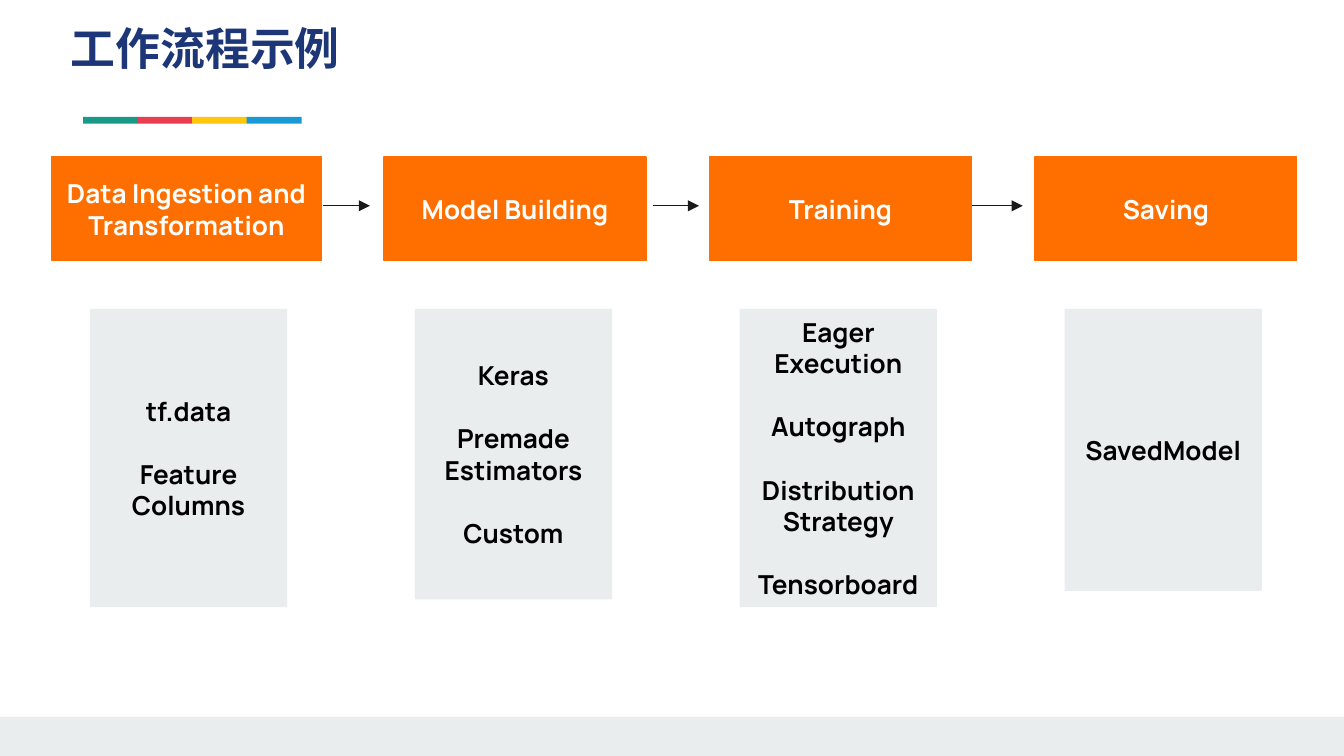
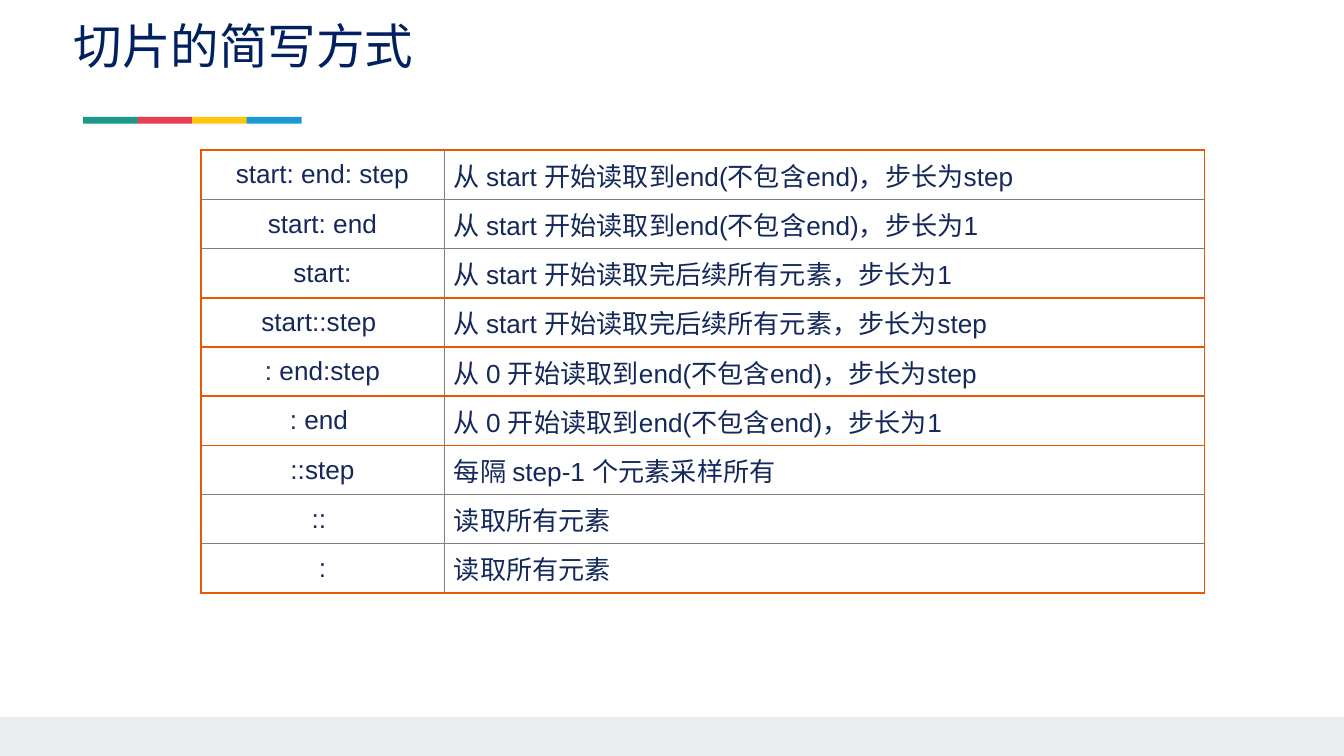
from lxml import etree
from pptx import Presentation
from pptx.dml.color import RGBColor
from pptx.enum.shapes import MSO_CONNECTOR, MSO_SHAPE
from pptx.enum.text import MSO_ANCHOR, MSO_AUTO_SIZE, PP_ALIGN
from pptx.oxml.ns import qn
from pptx.util import Cm, Pt

RECT, STRAIGHT = MSO_SHAPE.RECTANGLE, MSO_CONNECTOR.STRAIGHT
TOP, MIDDLE = MSO_ANCHOR.TOP, MSO_ANCHOR.MIDDLE
LEFT, CENTER = PP_ALIGN.LEFT, PP_ALIGN.CENTER
NO_FIT = MSO_AUTO_SIZE.NONE
TITLE_ONLY = 5

COLORS = {
    "band": "E9EDEE", "green": "1A9988", "red": "E93D51", "yellow": "FFC60B",
    "blue": "199AD7", "title": "1C3678", "navy": "002060", "orange": "FF6F00",
    "arrow": "1A1A1A", "white": "FFFFFF", "black": "000000",
    "cell": "15285A", "border": "EB5600", "grid": "7F7F7F",
}

# stage, left and width of its box, tools, height of the tools panel (cm)
STAGES = [
    ("Data Ingestion and Transformation", 0.97, 5.11,
     ["tf.data", "Feature Columns"], 5.64),
    ("Model Building", 7.26, 4.95,
     ["Keras", "Premade Estimators", "Custom"], 5.49),
    ("Training", 13.41, 4.95,
     ["Eager Execution", "Autograph", "Distribution Strategy", "Tensorboard"], 5.64),
    ("Saving", 19.56, 4.95, ["SavedModel"], 5.33),
]
ARROWS = [(6.1, 6.99), (12.34, 13.21), (18.03, 19.33)]

SLICES = [
    ("start: end: step", "从 start 开始读取到end(不包含end)，步长为step"),
    ("start: end", "从 start 开始读取到end(不包含end)，步长为1"),
    ("start:", "从 start 开始读取完后续所有元素，步长为1"),
    ("start::step ", "从 start 开始读取完后续所有元素，步长为step"),
    (": end:step", "从 0 开始读取到end(不包含end)，步长为step"),
    (": end ", "从 0 开始读取到end(不包含end)，步长为1"),
    ("::step", "每隔 step-1 个元素采样所有"),
    (":: ", "读取所有元素"),
    (":", "读取所有元素"),
]
STRONG_LINES = {0, 3, 4, 5, 6, 9}


def rgb(name):
    return RGBColor.from_string(COLORS[name])


class Deck:
    font = "Manrope"
    table_font = "Arial"
    size = 14

    def __init__(self):
        self.prs = Presentation()
        self.prs.slide_width, self.prs.slide_height = Cm(25.4), Cm(14.29)
        self.slide = None

    def new_slide(self, title, left, top, width, height, size, color, bold, inset):
        self.slide = self.prs.slides.add_slide(self.prs.slide_layouts[TITLE_ONLY])
        self.rect(0, 13.55, 25.4, 0.74, "band")
        for i, name in enumerate(("green", "red", "yellow", "blue")):
            self.rect(1.57 + 1.03 * i, 2.21, 1.04, 0.13, name)
        sp = self.slide.shapes.title
        sp.left, sp.top, sp.width, sp.height = map(Cm, (left, top, width, height))
        self.set_text(sp.text_frame, [title], size, color, bold, LEFT, TOP, inset)

    def set_text(self, tf, lines, size, color, bold, align, anchor, inset=0.25, gap=0):
        tf.word_wrap, tf.auto_size = True, NO_FIT
        tf.vertical_anchor = anchor
        tf.margin_left = tf.margin_right = Cm(0.25)
        tf.margin_top = tf.margin_bottom = Cm(inset)
        tf.text = "\n".join(lines)
        for i, p in enumerate(tf.paragraphs):
            p.alignment = align
            p.space_before = Pt(gap if i else 0)
            self.style(p, self.font, size, color, bold)

    def style(self, p, font, size, color, bold=False):
        for r in p.runs:
            r.font.name, r.font.size, r.font.bold = font, Pt(size), bold
            r.font.color.rgb = rgb(color)

    def rect(self, left, top, width, height, fill, line=None):
        sp = self.slide.shapes.add_shape(RECT, *map(Cm, (left, top, width, height)))
        sp.shadow.inherit = False
        sp.fill.solid()
        sp.fill.fore_color.rgb = rgb(fill)
        if line:
            sp.line.color.rgb, sp.line.width = rgb(line), Pt(0.75)
        else:
            sp.line.fill.background()
        return sp

    def box(self, left, top, width, height, lines, fill, color, line=None):
        sp = self.rect(left, top, width, height, fill, line)
        self.set_text(sp.text_frame, lines, self.size, color, True, CENTER, MIDDLE,
                      gap=17)

    def arrow(self, x1, x2, y):
        sp = self.slide.shapes.add_connector(STRAIGHT, Cm(x1), Cm(y), Cm(x2), Cm(y))
        sp.line.color.rgb, sp.line.width = rgb("arrow"), Pt(0.75)
        sp_pr = sp._element.spPr
        etree.SubElement(sp_pr.find(qn("a:ln")), qn("a:tailEnd"), type="triangle")
        etree.SubElement(sp_pr, qn("a:effectLst"))

    def table(self, left, top, col_widths, row_height, rows, strong_lines):
        """Draw a grid whose strong_lines (counted from the top) are orange."""
        frame = self.slide.shapes.add_table(
            len(rows), len(col_widths), Cm(left), Cm(top),
            Cm(sum(col_widths)), Cm(row_height * len(rows)))
        tbl = frame.table
        tbl.first_row = tbl.horz_banding = False
        for col, width in zip(tbl.columns, col_widths):
            col.width = Cm(width)
        last = len(col_widths) - 1
        for i, row in enumerate(rows):
            tbl.rows[i].height = Cm(row_height)
            for j, text in enumerate(row):
                cell = tbl.cell(i, j)
                self.cell(cell, text, LEFT if j else CENTER)
                self.borders(cell, {"lnL": j == 0, "lnR": j == last,
                                    "lnT": i in strong_lines,
                                    "lnB": i + 1 in strong_lines})

    def cell(self, cell, text, align):
        cell.fill.background()
        cell.vertical_anchor = MIDDLE
        cell.margin_left = cell.margin_right = Cm(0.19)
        cell.margin_top = cell.margin_bottom = 0
        cell.text = text
        p = cell.text_frame.paragraphs[0]
        p.alignment, p.space_after = align, Pt(1)
        self.style(p, self.table_font, self.size, "cell")

    def borders(self, cell, sides):
        tc_pr = cell._tc.get_or_add_tcPr()
        for k, (side, strong) in enumerate(sides.items()):
            ln = etree.Element(qn("a:" + side), w=str(Pt(1 if strong else 0.5)))
            fill = etree.SubElement(ln, qn("a:solidFill"))
            etree.SubElement(fill, qn("a:srgbClr"),
                             val=COLORS["border" if strong else "grid"])
            tc_pr.insert(k, ln)


def workflow_slide(deck):
    deck.new_slide("工作流程示例", 1.09, 0.15, 5.94, 1.5, 24, "title", True, 0.25)
    for x1, x2 in ARROWS:
        deck.arrow(x1, x2, 3.89)
    for i, (stage, left, width, tools, height) in enumerate(STAGES):
        deck.box(left, 2.97, width, 1.96, [stage], "orange", "white", "orange")
        deck.box(1.7 + 6.14 * i, 5.84, 3.73, height, tools, "band", "black")


def slicing_slide(deck):
    deck.new_slide("切片的简写方式", 1.14, 0.18, 7.49, 1.37, 26, "navy", False, 0.13)
    deck.table(3.8, 2.84, (4.59, 14.37), 0.93, SLICES, STRONG_LINES)


def main():
    deck = Deck()
    workflow_slide(deck)
    slicing_slide(deck)
    deck.prs.save("out.pptx")


if __name__ == "__main__":
    main()
